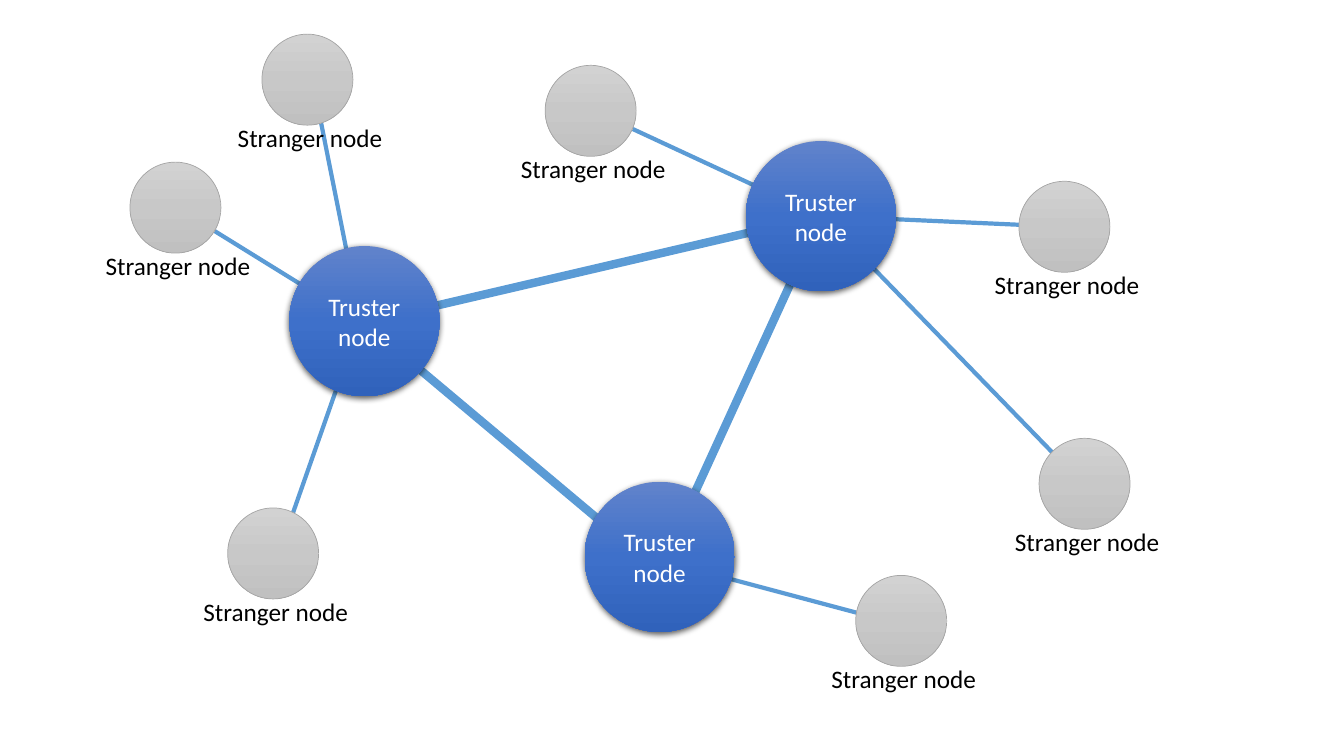
from copy import deepcopy

from pptx import Presentation
from pptx import util as u
from pptx.dml.color import RGBColor
from pptx.enum import shapes, text
from pptx.oxml import ns
from lxml import etree

TRUSTER_SIZE, STRANGER_SIZE = 107.3, 65
TRUSTERS = [(260.3, 229.4), (586.4, 154.4), (471.2, 397.8)]
STRANGERS = [(125.3, 148.3), (195.1, 395.3), (219.6, 56.9), (643.7, 443.5),
             (774.7, 345.6), (760.3, 162), (421.9, 79.2)]
SPOKES = [((223.2, 56.9), (257.8, 230.4)), ((127.4, 149), (257.8, 229.7)),
          ((424.1, 79.2), (585.4, 154.1)), ((760.3, 162), (583.9, 154.1)),
          ((196.6, 402.5), (257, 230.4)), ((480.2, 402.5), (647.3, 447.1)),
          ((587.5, 154.1), (777.6, 349.9))]
TRUST_CORNERS = [(259.9, 230.4), (470.9, 407.5), (586.8, 154.1)]
BLUES = ["6183CB", "3E70CA", "3062BB"]
GREYS = ["D2D2D2", "C8C8C8", "C0C0C0"]


def colour(hex_code):
    """Turn a hex string into a colour."""
    return RGBColor.from_string(hex_code)


def add_xml(parent, tag, **attributes):
    """Append a drawing element to a parent and return it."""
    return etree.SubElement(parent, ns.qn(tag), attributes)


def write(frame, wording, size=18, hex_code="000000", align=text.PP_ALIGN.LEFT,
          anchor=text.MSO_ANCHOR.TOP, font="Calibri"):
    """Fill a text frame, one paragraph for each line of wording."""
    frame.text = wording
    frame.vertical_anchor = anchor
    for paragraph in frame.paragraphs:
        paragraph.alignment = align
        paragraph.font.size = u.Pt(size)
        paragraph.font.name = font
        paragraph.font.color.rgb = colour(hex_code)


def draw_link(slide, start, end, width, arrows=False):
    """Draw a straight link, with arrowheads at both ends if asked."""
    link = slide.shapes.add_connector(
        shapes.MSO_CONNECTOR.STRAIGHT, *(u.Pt(v) for v in (*start, *end)))
    link.line.color.rgb = colour("5B9BD5")
    link.line.width = u.Pt(width)
    if arrows:
        outline = link.line._get_or_add_ln()
        add_xml(outline, "a:headEnd", type="triangle")
        add_xml(outline, "a:tailEnd", type="triangle")
    add_xml(link._element.spPr, "a:effectLst")


def draw_circle(parts, left, top, size, shades):
    """Draw a circle filled from top to bottom with three shades."""
    circle = parts.add_shape(
        shapes.MSO_SHAPE.OVAL, *(u.Pt(v) for v in (left, top, size, size)))
    circle.shadow.inherit = False
    circle.fill.gradient()
    circle.fill.gradient_angle = 270
    stops = circle._element.spPr.find(".//" + ns.qn("a:gsLst"))
    stops.insert(1, deepcopy(stops[0]))
    for stop, shade, position in zip(circle.fill.gradient_stops, shades, (0, 0.5, 1)):
        stop.color.rgb = colour(shade)
        stop.position = position
    return circle


def draw_truster(slide, left, top, size):
    """Draw a blue truster node with its shadow and wording."""
    truster = draw_circle(slide.shapes, left, top, size, BLUES)
    truster.line.fill.background()
    effects = truster._element.spPr.find(ns.qn("a:effectLst"))
    shadow = add_xml(effects, "a:outerShdw", blurRad=str(u.Pt(4.5)),
                     dist=str(u.Pt(1.5)), dir="5400000", algn="ctr", rotWithShape="0")
    add_xml(add_xml(shadow, "a:srgbClr", val="000000"), "a:alpha", val="63000")
    write(truster.text_frame, "Truster\nnode", hex_code="FFFFFF",
          align=text.PP_ALIGN.CENTER, anchor=text.MSO_ANCHOR.MIDDLE)


def draw_stranger(slide, left, top, size):
    """Draw a grey stranger node grouped with the label below it."""
    parts = slide.shapes.add_group_shape().shapes
    stranger = draw_circle(parts, left, top, size, GREYS)
    stranger.line.color.rgb = colour("A5A5A5")
    stranger.line.width = u.Pt(0.5)
    label_width = 118.8
    label = parts.add_textbox(u.Pt(left + size / 2 - label_width / 2 + 2.5),
                              u.Pt(top + size - 5.5), u.Pt(label_width), u.Pt(29))
    label.text_frame.word_wrap = False
    label.text_frame.auto_size = text.MSO_AUTO_SIZE.SHAPE_TO_FIT_TEXT
    write(label.text_frame, "Stranger node")


def draw_network(slide):
    """Draw the links first, then the nodes over them."""
    for start, end in SPOKES:
        draw_link(slide, start, end, 3)
    for index, corner in enumerate(TRUST_CORNERS):
        draw_link(slide, TRUST_CORNERS[index - 1], corner, 6, arrows=True)
    for x, y in TRUSTERS:
        draw_truster(slide, x - TRUSTER_SIZE / 2, y - TRUSTER_SIZE / 2, TRUSTER_SIZE)
    for x, y in STRANGERS:
        draw_stranger(slide, x - STRANGER_SIZE / 2, y - STRANGER_SIZE / 2, STRANGER_SIZE)


def main():
    """Build and save the slide."""
    deck = Presentation()
    deck.slide_width, deck.slide_height = u.Pt(960), u.Pt(540)
    draw_network(deck.slides.add_slide(deck.slide_layouts[6]))
    deck.save("out.pptx")


if __name__ == "__main__":
    main()
